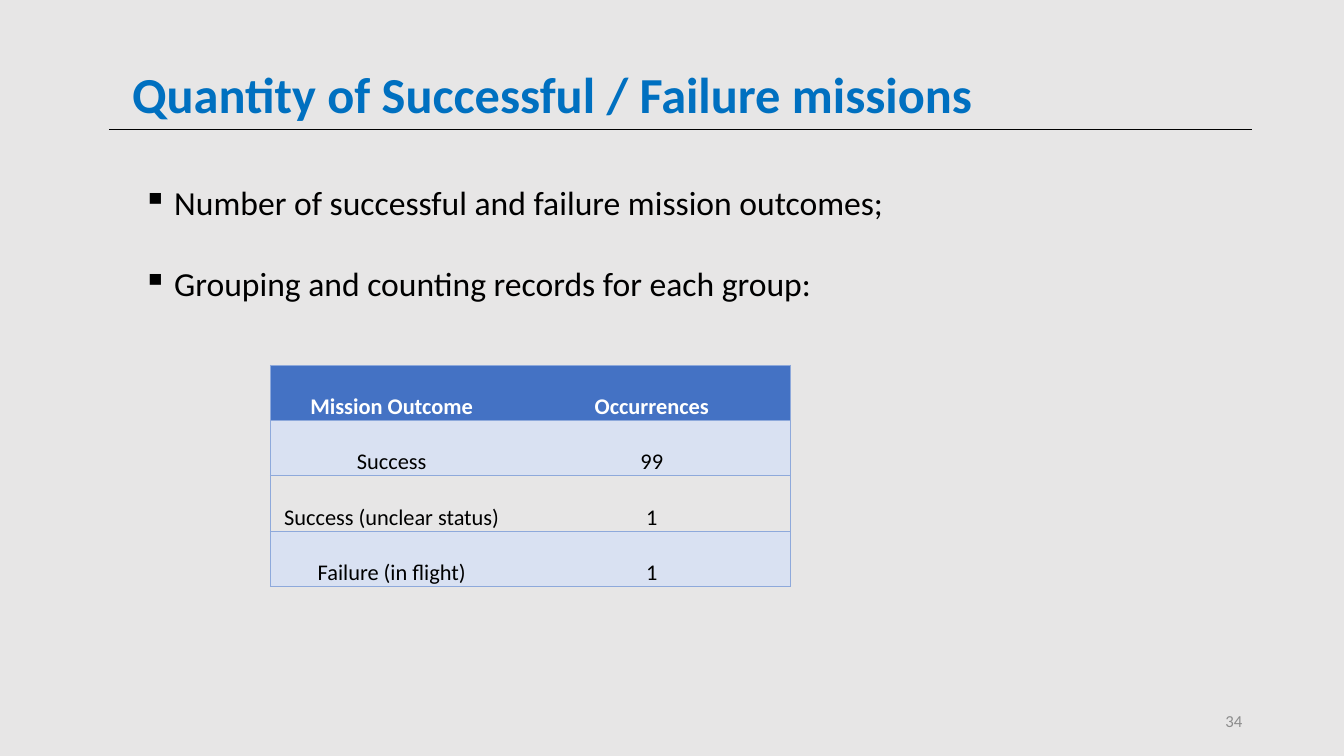
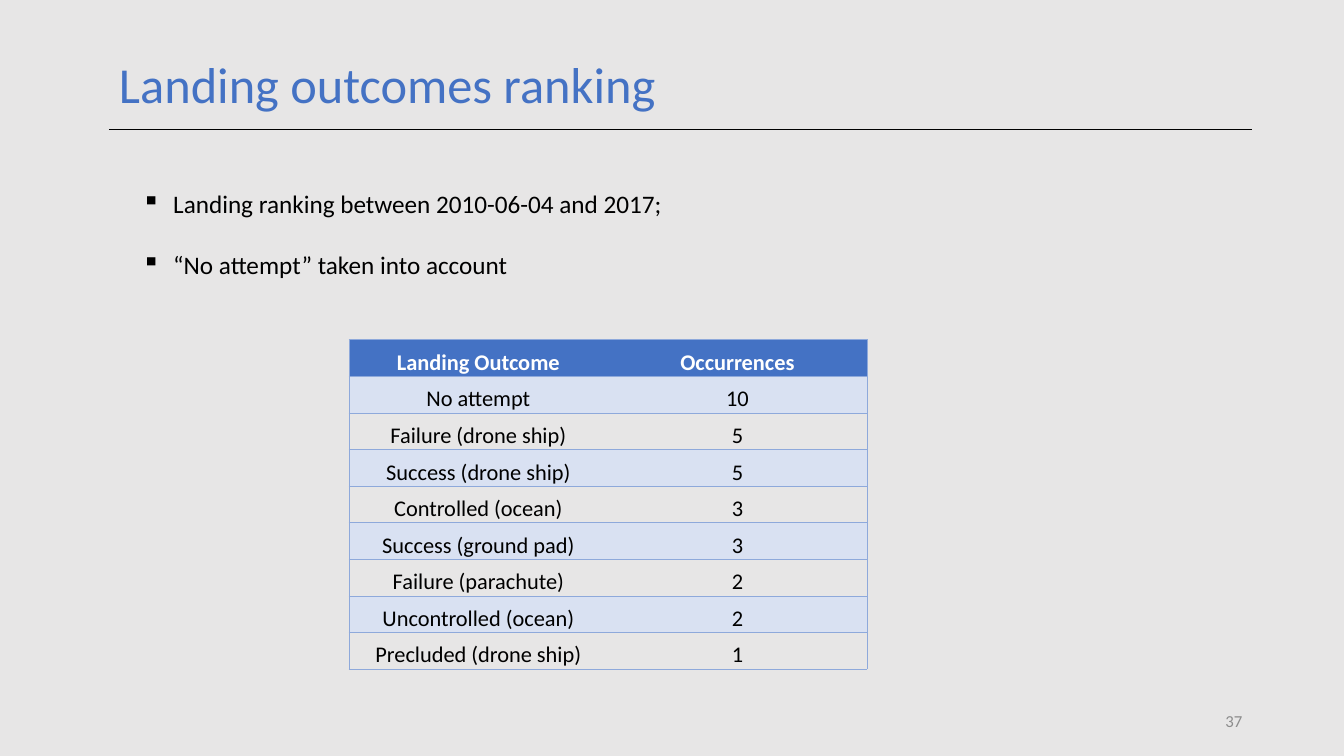
from dataclasses import dataclass

from lxml.etree import SubElement
from pptx import Presentation
from pptx.dml.color import RGBColor
from pptx.enum.shapes import MSO_CONNECTOR
from pptx.enum.text import MSO_ANCHOR as Anchor, MSO_AUTO_SIZE as AutoSize, PP_ALIGN as Align
from pptx.oxml import parse_xml
from pptx.oxml.ns import nsdecls, qn
from pptx.util import Inches, Pt

TITLE_ONLY = 5


@dataclass(frozen=True)
class Theme:
    font: str = "Calibri"
    background: str = "E7E6E6"
    bright: str = "0070C0"
    accent: str = "4472C4"
    band: str = "D9E1F2"
    border: str = "8EA9DB"
    text: str = "000000"
    light: str = "FFFFFF"
    muted: str = "8C8C8C"
    title_size: int = 36
    table_size: int = 16
    number_size: int = 12
    line_width: float = 0.5


def color(value):
    return RGBColor.from_string(value)


def set_border(cell, order, side, value, width):
    """Draw one side of a cell, or hide it when value is None."""
    if value:
        paint = f'<a:solidFill><a:srgbClr val="{value}"/></a:solidFill>'
    else:
        paint = "<a:noFill/>"
    line = parse_xml(f'<a:ln{side} {nsdecls("a")} w="{Pt(width)}">{paint}</a:ln{side}>')
    cell._tc.get_or_add_tcPr().insert(order, line)


class SlideBuilder:
    def __init__(self, theme):
        self.theme = theme
        self.deck = Presentation()
        self.deck.slide_width, self.deck.slide_height = Inches(13.33), Inches(7.5)
        fill = self.deck.slide_master.background.fill
        fill.solid()
        fill.fore_color.rgb = color(theme.background)

    def style(self, para, size, ink, bold=False):
        for span in para.runs:
            font = span.font
            font.name, font.size, font.bold = self.theme.font, Pt(size), bold
            font.color.rgb = color(ink)

    def start_page(self, title, left, top, ink, bold, number):
        """Add a slide with its title, rule and page number."""
        self.page = self.deck.slides.add_slide(self.deck.slide_layouts[TITLE_ONLY])
        box = self.page.shapes.title
        box.left, box.top = Inches(left), Inches(top)
        box.width, box.height = Inches(11.86), Inches(0.92)
        frame = box.text_frame
        frame.text = title
        frame.auto_size = AutoSize.NONE
        frame.vertical_anchor = Anchor.BOTTOM
        para = frame.paragraphs[0]
        para.alignment, para.line_spacing = Align.LEFT, 0.9
        self.style(para, self.theme.title_size, ink, bold)
        self.page_number(number)
        self.rule(1.08, 12.42, 1.28)

    def text_box(self, left, top, width, height):
        box = self.page.shapes.add_textbox(
            Inches(left), Inches(top), Inches(width), Inches(height))
        box.text_frame.word_wrap = True
        return box.text_frame

    def page_number(self, number):
        frame = self.text_box(9.42, 6.95, 3, 0.4)
        frame.text = str(number)
        frame.vertical_anchor = Anchor.MIDDLE
        para = frame.paragraphs[0]
        para.alignment = Align.RIGHT
        self.style(para, self.theme.number_size, self.theme.muted)

    def rule(self, left, right, top):
        line = self.page.shapes.add_connector(
            MSO_CONNECTOR.STRAIGHT, Inches(left), Inches(top), Inches(right), Inches(top))
        line.line.color.rgb = color(self.theme.text)
        line.line.width = Pt(self.theme.line_width)
        SubElement(line._element.spPr, qn("a:effectLst"))

    def bullets(self, items, left, top, width, height, size):
        """Add bulleted paragraphs one line of space apart."""
        frame = self.text_box(left, top, width, height)
        frame.text = "\n".join(items)
        for index, para in enumerate(frame.paragraphs):
            if index:
                para.space_before = Pt(round(size * 1.22))
            self.style(para, size, self.theme.text)
            props = para._p.get_or_add_pPr()
            props.set("marL", str(Inches(0.31)))
            props.set("indent", str(-Inches(0.31)))
            SubElement(props, qn("a:buChar")).set("char", "▪")

    def table(self, rows, left, top, widths, height):
        """Add a table with a header row and shaded odd rows."""
        frame = self.page.shapes.add_table(
            len(rows), len(widths), Inches(left), Inches(top),
            Inches(sum(widths)), Inches(height))
        table = frame.table
        table.first_row = table.horz_banding = False
        for column, width in zip(table.columns, widths):
            column.width = Inches(width)
        for row, values in enumerate(rows):
            table.rows[row].height = Inches(height / len(rows))
            for column, value in enumerate(values):
                self.cell(table.cell(row, column), value, row,
                          column == 0, column == len(widths) - 1)

    def cell(self, cell, value, row, is_first, is_last):
        theme = self.theme
        header = row == 0
        cell.text = str(value)
        cell.vertical_anchor = Anchor.BOTTOM
        cell.margin_left = cell.margin_right = cell.margin_top = Inches(0.01)
        cell.margin_bottom = 0
        para = cell.text_frame.paragraphs[0]
        para.alignment = Align.CENTER
        self.style(para, theme.table_size, theme.light if header else theme.text, header)
        if header or row % 2:
            cell.fill.solid()
            cell.fill.fore_color.rgb = color(theme.accent if header else theme.band)
        else:
            cell.fill.background()
        sides = {"L": is_first, "R": is_last, "T": True, "B": True}
        for order, (side, visible) in enumerate(sides.items()):
            set_border(cell, order, side, theme.border if visible else None, theme.line_width)


def main():
    theme = Theme()
    builder = SlideBuilder(theme)

    builder.start_page("Quantity of Successful / Failure missions",
                       1.21, 0.36, theme.bright, True, 34)
    builder.bullets(["Number of successful and failure mission outcomes;",
                     "Grouping and counting records for each group:"],
                    1.32, 1.76, 8.83, 1.31, 24)
    builder.table([("Mission Outcome", "Occurrences"),
                   ("Success", 99),
                   ("Success (unclear status)", 1),
                   ("Failure (in flight)", 1)],
                  2.68, 3.62, (2.41, 2.75), 2.2)

    builder.start_page("Landing outcomes ranking", 1.08, 0.27, theme.accent, False, 37)
    builder.bullets(["Landing ranking between 2010-06-04 and 2017;",
                     "“No attempt” taken into account"],
                    1.31, 1.82, 6.66, 1.01, 18)
    builder.table([("Landing Outcome", "Occurrences"),
                   ("No attempt", 10),
                   ("Failure (drone ship)", 5),
                   ("Success (drone ship)", 5),
                   ("Controlled (ocean)", 3),
                   ("Success (ground pad)", 3),
                   ("Failure (parachute)", 2),
                   ("Uncontrolled (ocean)", 2),
                   ("Precluded (drone ship)", 1)],
                  3.46, 3.37, (2.57, 2.57), 3.27)

    builder.deck.save("out.pptx")


if __name__ == "__main__":
    main()
